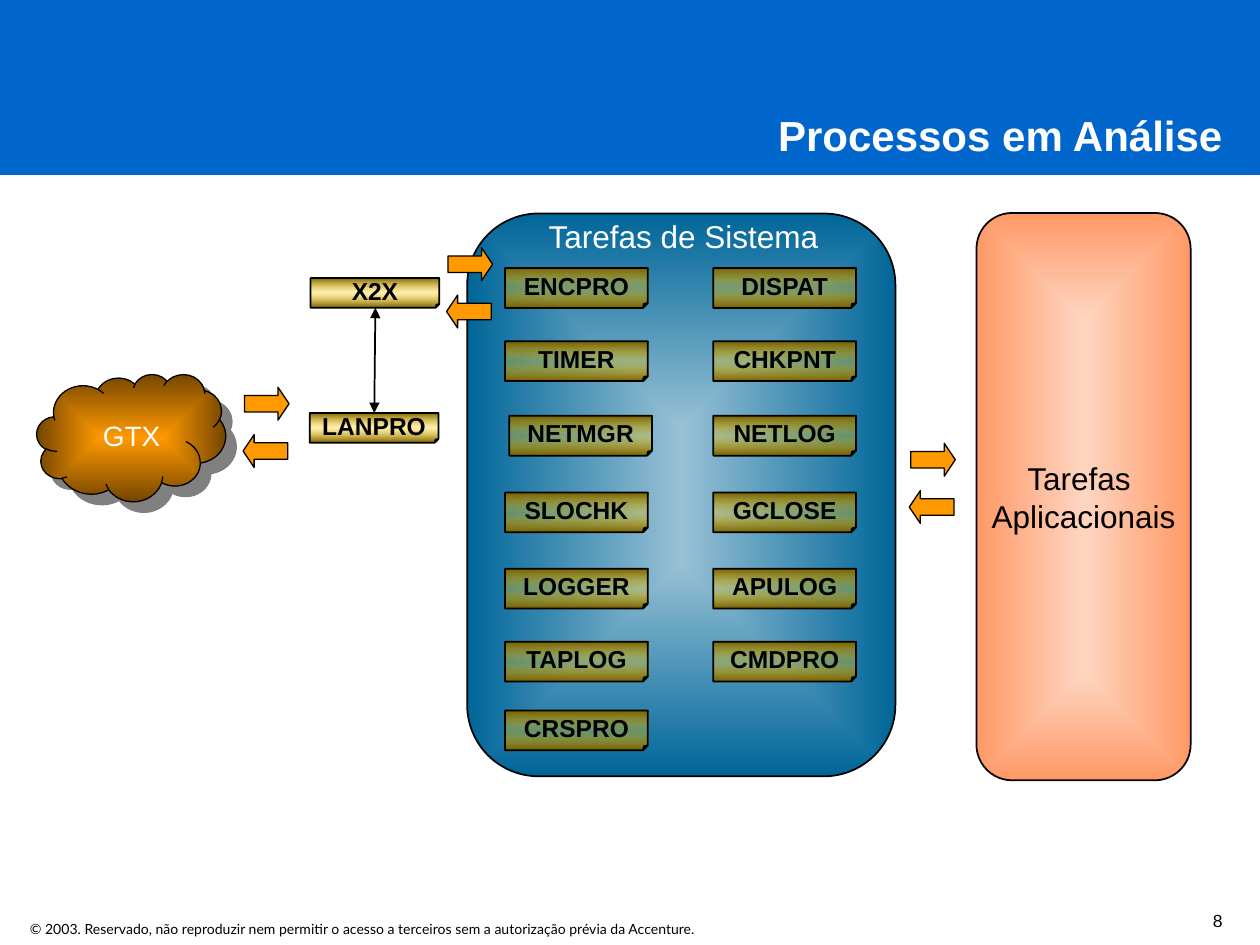
import pptx
import pptx.dml.color
import pptx.enum.shapes
import pptx.enum.text
import pptx.oxml
import pptx.oxml.ns
import pptx.util

Pt = pptx.util.Pt
RGB = pptx.dml.color.RGBColor
SHAPE = pptx.enum.shapes.MSO_SHAPE
ALIGN = pptx.enum.text.PP_ALIGN
ANCHOR = pptx.enum.text.MSO_ANCHOR
AUTO = pptx.enum.text.MSO_AUTO_SIZE
NS = pptx.oxml.ns.nsdecls("a")

BLACK = RGB(0x00, 0x00, 0x00)
WHITE = RGB(0xFF, 0xFF, 0xFF)
BLUE = RGB(0x00, 0x66, 0xCC)
ORANGE = RGB(0xFF, 0x99, 0x00)
BROWN = RGB(0x75, 0x46, 0x00)
GOLD = RGB(0xFF, 0xCC, 0x00)
DARK_GOLD = RGB(0x75, 0x5E, 0x00)
PALE_TEAL = RGB(0x98, 0xC1, 0xD5)
TEAL = RGB(0x00, 0x66, 0x99)
PALE_CORAL = RGB(0xFE, 0xD5, 0xC1)
CORAL = RGB(0xFF, 0x99, 0x66)
GREY = RGB(0x80, 0x80, 0x80)

FROM_CENTRE = ('<a:path path="rect"><a:fillToRect l="50000" t="50000" '
               'r="50000" b="50000"/></a:path>')
TOP_DOWN = '<a:lin ang="5400000" scaled="0"/>'

ROW_TOPS = [153.2, 195, 237.6, 281.4, 325, 366.7, 406]
LEFT_TASKS = ["ENCPRO", "TIMER", "NETMGR", "SLOCHK", "LOGGER", "TAPLOG", "CRSPRO"]
RIGHT_TASKS = ["DISPAT", "CHKPNT", "NETLOG", "GCLOSE", "APULOG", "CMDPRO"]
ARROW_PAIRS = [(256, 141.6), (139.7, 221.3), (520.4, 253.3)]


def set_text(sp, text, size=14, font="Arial", color=BLACK, bold=False,
             align=ALIGN.LEFT, anchor=ANCHOR.TOP, wrap=False, spacing=None):
    tf = sp.text_frame
    tf.word_wrap = wrap
    tf.vertical_anchor = anchor
    for i, line in enumerate(text.split("\n")):
        p = tf.add_paragraph() if i else tf.paragraphs[0]
        p.alignment = align
        p.line_spacing = spacing
        r = p.add_run()
        r.text = line
        r.font.size = Pt(size)
        r.font.name = font
        r.font.bold = bold
        r.font.color.rgb = color


def add_label(s, x, y, w, h, text, fit=True, **fmt):
    sp = s.shapes.add_textbox(Pt(x), Pt(y), Pt(w), Pt(h))
    set_text(sp, text, **fmt)
    if fit:
        sp.text_frame.auto_size = AUTO.SHAPE_TO_FIT_TEXT


def set_gradient(sp, stops, direction):
    sp.fill.background()
    gs = "".join(
        f'<a:gs pos="{pos * 1000}"><a:srgbClr val="{color}">'
        f'<a:alpha val="{alpha * 1000}"/></a:srgbClr></a:gs>'
        for pos, color, alpha in stops)
    grad = pptx.oxml.parse_xml(
        f'<a:gradFill {NS} rotWithShape="1"><a:gsLst>{gs}</a:gsLst>{direction}</a:gradFill>')
    spPr = sp._element.spPr
    spPr.replace(spPr.find(pptx.oxml.ns.qn("a:noFill")), grad)


def add_shape(s, kind, x, y, w, h, fill=None, line=1):
    sp = s.shapes.add_shape(kind, Pt(x), Pt(y), Pt(w), Pt(h))
    sp.shadow.inherit = False
    if fill is not None:
        sp.fill.solid()
        sp.fill.fore_color.rgb = fill
    if line:
        sp.line.color.rgb = BLACK
        sp.line.width = Pt(line)
    else:
        sp.line.fill.background()
    return sp


def add_panel(s, x, y, w, h, inner, outer):
    sp = add_shape(s, SHAPE.FLOWCHART_ALTERNATE_PROCESS, x, y, w, h)
    set_gradient(sp, [(0, inner, 100), (100, outer, 100)], FROM_CENTRE)
    return sp


def add_task(s, x, y, text, w=81.6, h=22.8):
    sp = add_shape(s, SHAPE.FOLDED_CORNER, x, y, w, h)
    geom = sp._element.spPr.find(pptx.oxml.ns.qn("a:prstGeom"))
    for child in list(geom):
        geom.remove(child)
    geom.append(pptx.oxml.parse_xml(
        f'<a:avLst {NS}><a:gd name="adj" fmla="val 12500"/></a:avLst>'))
    set_gradient(sp, [(0, DARK_GOLD, 100), (50, GOLD, 30), (100, DARK_GOLD, 100)], TOP_DOWN)
    set_text(sp, text, bold=True, align=ALIGN.CENTER, anchor=ANCHOR.MIDDLE)


def add_arrow_pair(s, x, y):
    for dx, dy, angle in [(0, 0, 0), (-0.8, 27, 180)]:
        sp = add_shape(s, SHAPE.RIGHT_ARROW, x + dx, y + dy, 25.5, 18.8, ORANGE, 0.75)
        sp.adjustments[1] = 0.335
        sp.rotation = angle


def add_double_arrow(s, x1, y1, x2, y2):
    cn = s.shapes.add_connector(pptx.enum.shapes.MSO_CONNECTOR.STRAIGHT,
                                Pt(x1), Pt(y1), Pt(x2), Pt(y2))
    cn.line.color.rgb = BLACK
    cn.line.width = Pt(1)
    ln = cn.line._get_or_add_ln()
    for end in ("headEnd", "tailEnd"):
        ln.append(pptx.oxml.parse_xml(f'<a:{end} {NS} type="triangle"/>'))
    cn._element.spPr.append(pptx.oxml.parse_xml(f"<a:effectLst {NS}/>"))


def add_cloud(s, x, y, w, h):
    sp = add_shape(s, SHAPE.CLOUD, x, y, w, h, line=0.75)
    set_gradient(sp, [(0, ORANGE, 100), (100, BROWN, 100)], FROM_CENTRE)
    effects = sp._element.spPr.find(pptx.oxml.ns.qn("a:effectLst"))
    effects.append(pptx.oxml.parse_xml(
        f'<a:outerShdw {NS} dist="{int(Pt(8.5))}" dir="2700000" algn="ctr" rotWithShape="0">'
        f'<a:srgbClr val="{GREY}"/></a:outerShdw>'))


def main():
    prs = pptx.Presentation()
    prs.slide_width, prs.slide_height = Pt(720), Pt(540)
    s = prs.slides.add_slide(prs.slide_layouts[6])

    add_shape(s, SHAPE.RECTANGLE, 0, 0, 720, 100, BLUE, line=0)
    add_label(s, 10, 522.5, 427, 17, "© 2003. Reservado, não reproduzir nem permitir o acesso "
              "a terceiros sem a autorização prévia da Accenture.", size=8, font="Lato")
    add_label(s, 179.3, 59.3, 526.3, 36, "Processos em Análise", size=24, color=WHITE,
              bold=True, align=ALIGN.RIGHT, wrap=True)

    add_panel(s, 267, 122, 244.7, 321.6, PALE_TEAL, TEAL)
    apps = add_panel(s, 558, 121.7, 122.4, 324.2, PALE_CORAL, CORAL)
    set_text(apps, "Tarefas \nAplicacionais", size=18, align=ALIGN.CENTER,
             anchor=ANCHOR.MIDDLE)

    add_task(s, 177, 236, "LANPRO", w=73.6, h=17)
    add_task(s, 177.5, 158.9, "X2X", w=73.6, h=17)
    for x, tasks in [(288.6, LEFT_TASKS), (407.6, RIGHT_TASKS)]:
        for y, task in zip(ROW_TOPS, tasks):
            add_task(s, x + 2.4 if task == "NETMGR" else x, y, task)

    add_double_arrow(s, 213.9, 236, 214.5, 175.9)
    add_cloud(s, 21, 213.8, 108, 72.7)
    add_label(s, 51.8, 235.5, 47, 26.6, "GTX", size=16, color=WHITE)
    add_label(s, 306.5, 120.5, 170.6, 29, "Tarefas de Sistema", size=18, color=WHITE)
    for x, y in ARROW_PAIRS:
        add_arrow_pair(s, x, y)
    add_label(s, 572.4, 514, 133.2, 21.6, "8", fit=False, size=10, align=ALIGN.RIGHT,
              anchor=ANCHOR.BOTTOM, wrap=True, spacing=0.8)

    prs.save("out.pptx")


if __name__ == "__main__":
    main()
